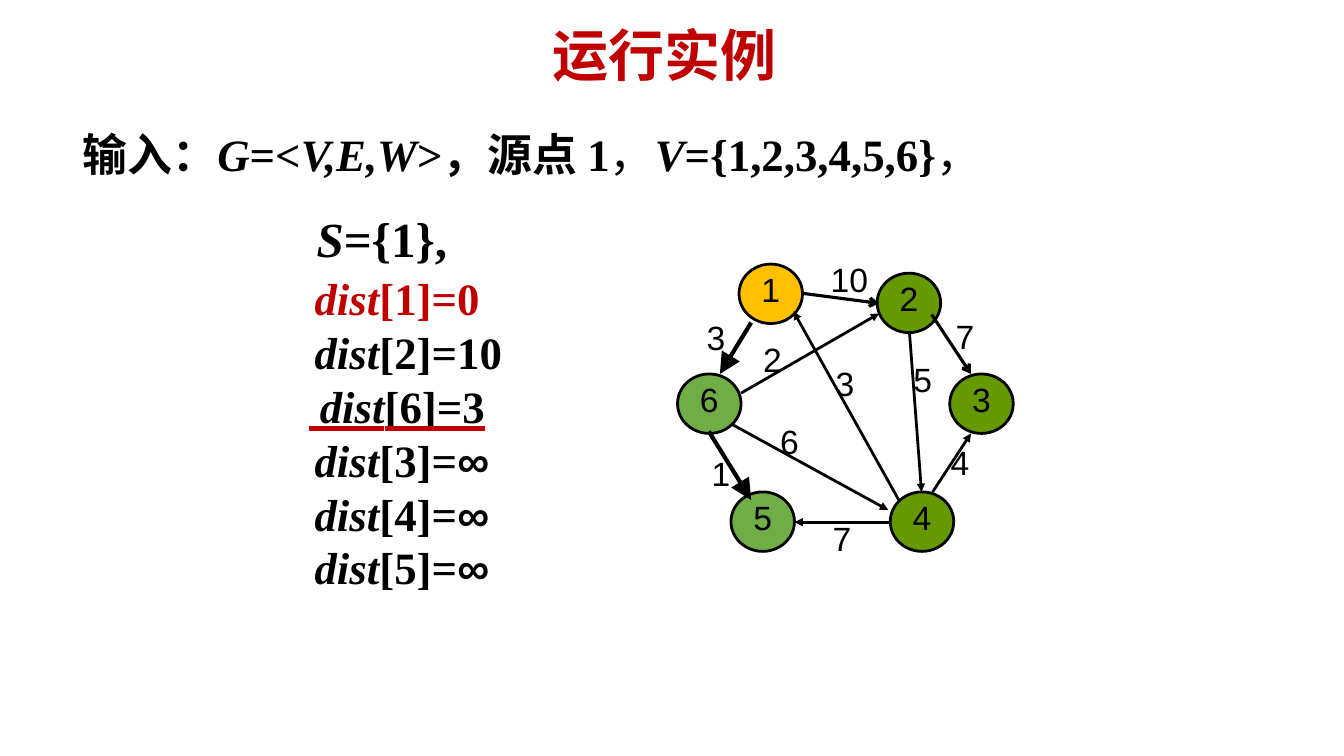
from lxml import etree
from pptx import Presentation
from pptx.dml.color import RGBColor
from pptx.enum import shapes, text
from pptx.oxml import ns
from pptx.util import Inches, Pt

INK = {"black": "000000", "red": "C00000", "gold": "FFC000",
       "light": "70AD47", "dark": "669900"}
CJK = "Noto Sans CJK SC"
TIMES = "Times New Roman"
SIZE = (0.63, 0.59)

NODES = [("1", 7.33, 2.62, "gold"), ("6", 6.72, 3.71, "light"),
         ("5", 7.25, 4.88, "light"), ("4", 8.83, 4.88, "dark"),
         ("3", 9.42, 3.71, "dark"), ("2", 8.7, 2.71, "dark")]

EDGES = [(7.26, 4.21, 8.81, 5.06, 1.98, "triangle"),
         (7.45, 3.2, 7.14, 3.71, 3, "triangle"),
         (7.03, 4.28, 7.45, 4.96, 3, "triangle"),
         (8.83, 5.18, 7.88, 5.18, 1.98, "triangle"),
         (7.35, 3.9, 8.72, 3.11, 1.98, "triangle"),
         (9.25, 4.88, 9.63, 4.3, 1.98, "triangle"),
         (8.92, 4.97, 7.87, 3.09, 1.98, "triangle"),
         (9.02, 3.29, 9.14, 4.88, 1.98, "triangle"),
         (7.96, 2.91, 8.72, 3.01, 2.25, "arrow"),
         (9.24, 3.12, 9.63, 3.71, 2.25, "arrow")]

COSTS = [("3", 6.91, 3.19), ("1", 6.96, 4.54), ("7", 8.16, 5.19),
         ("5", 8.96, 3.61), ("7", 9.38, 3.18), ("10", 8.14, 2.62),
         ("3", 8.19, 3.65), ("6", 7.64, 4.23), ("4", 9.33, 4.43),
         ("2", 7.47, 3.41)]

DISTS = [("1", "0"), ("2", "10"), ("6", "3"),
         ("3", "∞"), ("4", "∞"), ("5", "∞")]


def paint(name):
    return RGBColor.from_string(INK[name])


def add_box(slide, left, top, width, height):
    frame = slide.shapes.add_textbox(
        Inches(left), Inches(top), Inches(width), Inches(height)).text_frame
    frame.word_wrap = True
    return frame


def add_frame(slide, left, top, width, height):
    frame = add_box(slide, left, top, width, height)
    frame.margin_left = frame.margin_right = frame.margin_bottom = 0
    frame.margin_top = Inches(0.02)
    return frame


def add_run(para, words, size, face=TIMES, ink="black", bold=True, slant=False):
    run = para.add_run()
    run.text = words
    font = run.font
    font.size, font.name = Pt(size), face
    font.bold, font.italic = bold, slant
    font.color.rgb = paint(ink)
    east = etree.SubElement(run._r.get_or_add_rPr(), ns.qn("a:ea"))
    east.set("typeface", CJK if face == TIMES else face)
    return run


def set_left(para, left):
    para._p.get_or_add_pPr().set("marL", str(Inches(left)))


def underline(run, ink):
    run.font.underline = text.MSO_UNDERLINE.HEAVY_LINE
    props = run._r.get_or_add_rPr()
    fill = etree.Element(ns.qn("a:uFill"))
    solid = etree.SubElement(fill, ns.qn("a:solidFill"))
    etree.SubElement(solid, ns.qn("a:srgbClr")).set("val", INK[ink])
    props.find(ns.qn("a:latin")).addprevious(fill)


def add_title(slide):
    frame = add_frame(slide, 2.5, 0.18, 8.18, 0.69)
    frame.vertical_anchor = text.MSO_ANCHOR.MIDDLE
    para = frame.paragraphs[0]
    para.alignment = text.PP_ALIGN.CENTER
    add_run(para, "运行实例", 40, CJK, "red")


def add_input(slide):
    frame = add_frame(slide, 0.8, 1.24, 11.43, 1.42)
    given, start = frame.paragraphs[0], frame.add_paragraph()
    set_left(given, 0.02)
    set_left(start, 2.34)
    start.space_before = Pt(24)
    given.line_spacing = start.line_spacing = Pt(38.2)
    for words, face, bold, slant in [
            ("输入：", CJK, True, False), ("G", TIMES, True, True),
            ("=<", TIMES, True, False), ("V,E,W", TIMES, True, True),
            (">", TIMES, True, False), ("，源点 ", CJK, True, False),
            ("1", TIMES, True, False), ("，", TIMES, False, False),
            ("V", TIMES, True, True),
            ("={1,2,3,4,5,6}", TIMES, True, False),
            ("，", TIMES, False, False)]:
        add_run(given, words, 32, face, bold=bold, slant=slant)
    add_run(start, "S", 35, slant=True)
    add_run(start, "={1},", 35)


def add_dists(slide):
    frame = add_frame(slide, 3.04, 2.67, 2.11, 3.25)
    for row, (node, cost) in enumerate(DISTS):
        para = frame.add_paragraph() if row else frame.paragraphs[0]
        para.line_spacing = Pt(38.4)
        ink = "red" if node == "1" else "black"
        near = node == "6"
        set_left(para, 0.02 if near else 0.08)
        runs = [add_run(para, " dist" if near else "dist", 32, ink=ink, slant=True),
                add_run(para, f"[{node}]=", 32, ink=ink),
                add_run(para, cost, 32, "Arial" if cost == "∞" else TIMES, ink)]
        if near:
            for run in runs:
                underline(run, "red")


def add_node(slide, name, left, top, ink):
    oval = slide.shapes.add_shape(
        shapes.MSO_SHAPE.OVAL, Inches(left), Inches(top), *map(Inches, SIZE))
    oval.shadow.inherit = False
    oval.fill.solid()
    oval.fill.fore_color.rgb = paint(ink)
    oval.line.color.rgb = paint("black")
    oval.line.width = Pt(1.98)
    frame = oval.text_frame
    frame.margin_left = frame.margin_right = 0
    frame.margin_top = frame.margin_bottom = 0
    frame.vertical_anchor = text.MSO_ANCHOR.MIDDLE
    para = frame.paragraphs[0]
    para.alignment = text.PP_ALIGN.CENTER
    para.line_spacing = Pt(21.6)
    add_run(para, name, 24, "Arial", bold=False)


def add_edge(slide, left, top, right, low, width, head):
    edge = slide.shapes.add_connector(
        shapes.MSO_CONNECTOR.STRAIGHT,
        *map(Inches, (left, top, right, low)))
    edge.line.color.rgb = paint("black")
    edge.line.width = Pt(width)
    tip = etree.SubElement(edge.line._get_or_add_ln(), ns.qn("a:tailEnd"))
    tip.set("type", head)
    if width == 3:
        tip.set("w", "lg")
        tip.set("len", "lg")
    etree.SubElement(edge._element.spPr, ns.qn("a:effectLst"))


def add_cost(slide, cost, left, top):
    para = add_box(slide, left, top, 0.66, 0.41).paragraphs[0]
    para.line_spacing = Pt(21.6)
    add_run(para, cost, 24, "Arial", bold=False)


def main():
    deck = Presentation()
    deck.slide_width, deck.slide_height = Inches(13.33), Inches(7.5)
    slide = deck.slides.add_slide(deck.slide_layouts[6])
    add_dists(slide)
    add_title(slide)
    add_input(slide)
    for node in NODES:
        add_node(slide, *node)
    for edge in EDGES:
        add_edge(slide, *edge)
    for cost in COSTS:
        add_cost(slide, *cost)
    deck.save("out.pptx")


if __name__ == "__main__":
    main()
